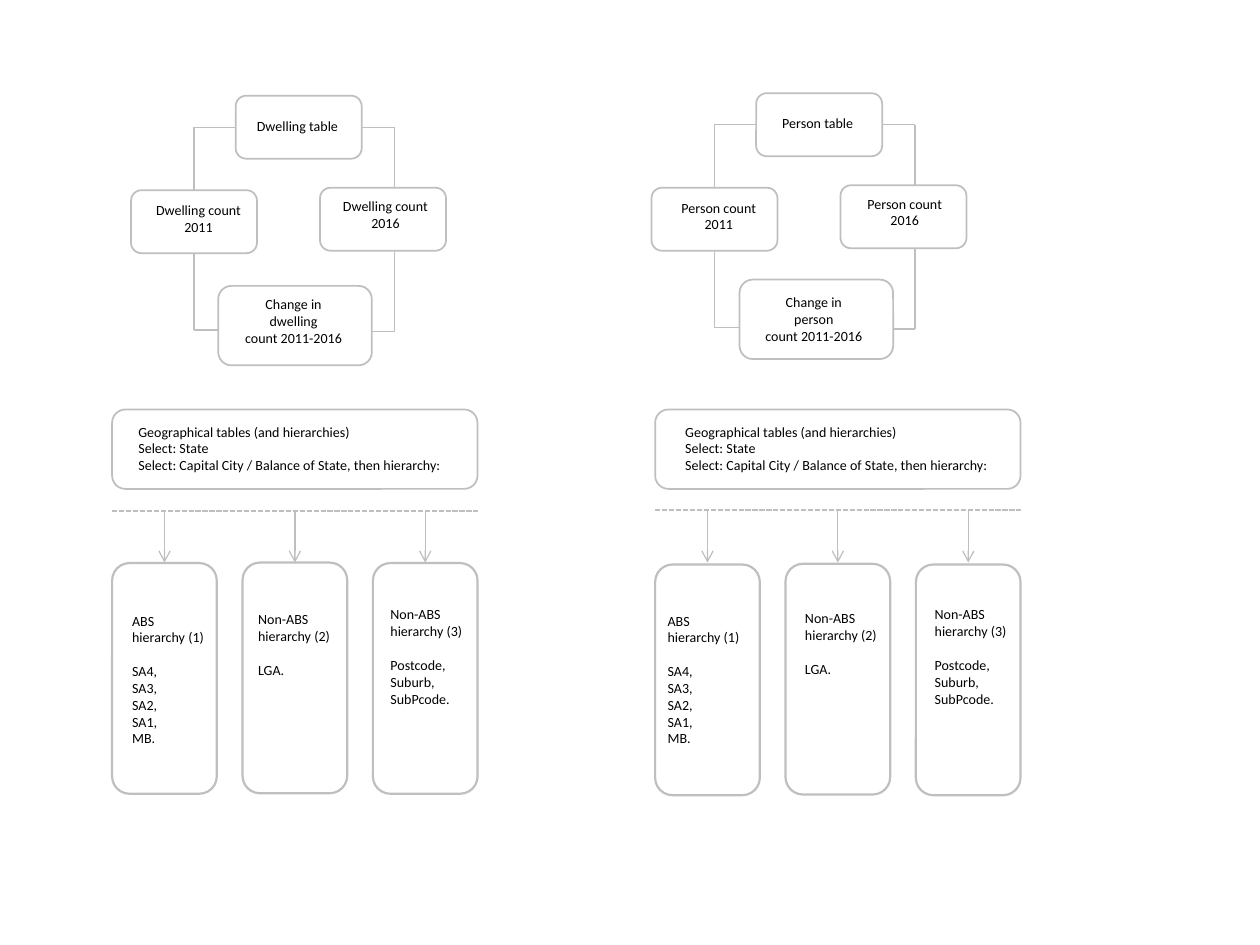
from pptx import Presentation
from pptx.util import Pt
from pptx.dml.color import RGBColor
from pptx.enum import dml, shapes, text
from pptx.oxml.ns import qn
from lxml import etree

HUES = {"line": "BFBFBF", "text": "000000"}
FONT, SIZE, GAP = "Calibri", 8, 9.75

# Content: each label is (left, top, width, height, wrap, lines); "" opens a gap
GEO = ["Geographical tables (and hierarchies)", "Select: State",
       "Select: Capital City / Balance of State, then hierarchy:"]
AREAS = ["", "SA4,", "SA3,", "SA2,", "SA1,", "MB."]
LOCAL = ["Non-ABS", "hierarchy (2)", "", "LGA."]
POST = ["Non-ABS", "hierarchy (3)", "", "Postcode,", "Suburb,", "SubPcode."]
PANELS = [
    {"ring": (74.9, 54.7), "change": (124.7, 163.4), "join": 188.6,
     "base": 64.1, "dash": 292.1, "tops": (321.8, 321.5, 321.8),
     "mid": [(81.4, 111.6, 64.1, 26.6, False, ["Dwelling count", "2011"]),
             (181.4, 109.4, 77.8, 26.6, True, ["Dwelling count 2016"]),
             (124.6, 165.6, 86.4, 36, True,
              ["Change in", "dwelling", "count 2011-2016"])],
     "left": [(139.7, 63.4, 61.9, 17.3, False, ["Dwelling table"]),
              (68.4, 346.3, 56.2, 85, True, ["ABS hierarchy (1)"] + AREAS),
              (140.4, 345.6, 56.2, 46.1, False, LOCAL),
              (216, 342.7, 56.2, 65.5, False, POST),
              (72, 238.3, 189.4, 36, False, GEO)]},
    {"ring": (372.3, 53.3), "change": (422.6, 159.8), "join": 187.2,
     "base": 374.4, "dash": 291.6, "tops": (322.6, 322.2, 322.6),
     "mid": [(381.6, 110.2, 58.3, 26.6, False, ["Person count", "2011"]),
             (478.1, 108, 77.8, 26.6, True, ["Person count", "2016"]),
             (421.9, 164.2, 86.4, 36, True,
              ["Change in", "person", "count 2011-2016"])],
     "left": [(439.9, 61.9, 56.2, 17.3, False, ["Person table"]),
              (374.4, 346.3, 59.8, 85, True, ["ABS", "hierarchy (1)"] + AREAS),
              (452.9, 344.9, 56.2, 46.1, False, LOCAL),
              (527, 342.7, 56.2, 65.5, False, POST),
              (384.5, 238.3, 189.4, 36, False, GEO)]},
]

deck = Presentation()
deck.slide_width, deck.slide_height = Pt(720), Pt(540)
page = deck.slides.add_slide(deck.slide_layouts[6]).shapes


def box(x, y, w, h, weight=1):
    card = page.add_shape(shapes.MSO_SHAPE.ROUNDED_RECTANGLE,
                          Pt(x), Pt(y), Pt(w), Pt(h))
    card.shadow.inherit = False
    card.fill.background()
    card.line.color.rgb = RGBColor.from_string(HUES["line"])
    card.line.width = Pt(weight)


def line(x1, y1, x2, y2, weight=0.75, dash=False, arrow=False):
    wire = page.add_connector(shapes.MSO_CONNECTOR.STRAIGHT,
                              Pt(x1), Pt(y1), Pt(x2), Pt(y2))
    wire.line.color.rgb = RGBColor.from_string(HUES["line"])
    wire.line.width = Pt(weight)
    if dash:
        wire.line.dash_style = dml.MSO_LINE.SQUARE_DOT
    if arrow:
        etree.SubElement(wire.line._get_or_add_ln(), qn("a:tailEnd"), type="arrow")
    etree.SubElement(wire._element.spPr, qn("a:effectLst"))


def label(x, y, w, h, wrap, lines, align):
    frame = page.add_textbox(Pt(x), Pt(y), Pt(w), Pt(h)).text_frame
    frame.word_wrap = wrap
    frame.text = "\n".join(row for row in lines if row)
    for para in frame.paragraphs:
        para.alignment = align
        for run in para.runs:
            run.font.name, run.font.size = FONT, Pt(SIZE)
            run.font.color.rgb = RGBColor.from_string(HUES["text"])
    if "" in lines:
        frame.paragraphs[lines.index("")].space_before = Pt(GAP)


for panel in PANELS:
    # Ring of count boxes
    x, y = panel["ring"]
    cx, cy = panel["change"]
    join = panel["join"]
    for dx, dy in ((0, 54), (108, 52.6), (59.8, 0)):
        box(x + dx, y + dy, 72, 36)
    box(cx, cy, 87.8, 45.4)

    # Links: outer x, table edge, change edge, count top, join height
    for out, edge, end, top, low in (
            (x + 36, x + 59.8, cx, y + 54, join),
            (x + 150.6, x + 131.8, cx + 87.8, y + 52.6, join + 0.8)):
        line(edge, y + 18, out, y + 18)
        line(out, y + 18, out, top)
        line(out, top + 36, out, low)
        line(out, low, end, low)

    # Geography box, dashed rule and hierarchy columns
    base, dash = panel["base"], panel["dash"]
    box(base, 234, 208.8, 45.4)
    line(base, dash, base + 208.8, dash, 1, dash=True)
    for i, top in enumerate(panel["tops"]):
        left = base + i * 74.5
        box(left, top, 59.8, 131.8, 1.25)
        line(left + 29.9, 291.6, left + 29.9, 321.5, arrow=True)

    # Labels
    for item in panel["mid"]:
        label(*item, text.PP_ALIGN.CENTER)
    for item in panel["left"]:
        label(*item, text.PP_ALIGN.LEFT)

deck.save("out.pptx")
